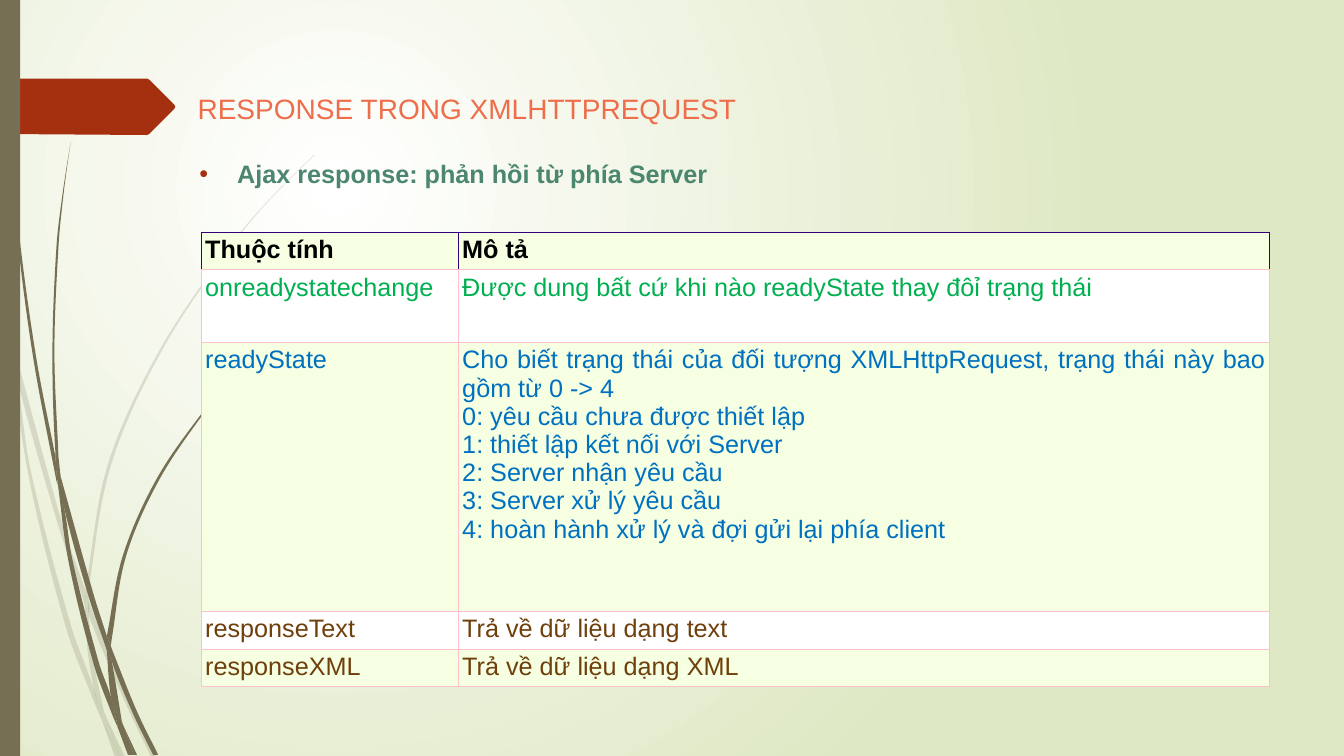
"""Builds the slide on the response properties of XMLHttpRequest."""
from math import dist
from lxml.etree import SubElement
from pptx import Presentation
from pptx.dml.color import RGBColor as Rgb
from pptx.enum.shapes import MSO_SHAPE as Kind
from pptx.enum.text import MSO_ANCHOR as Anchor, MSO_AUTO_SIZE as Fit, PP_ALIGN as Align
from pptx.oxml import parse_xml as read
from pptx.oxml.ns import nsdecls, qn
from pptx.util import Emu, Pt

WIDE, HIGH = 12192000, 6858000
ROWS = 75
FONT = "Arial"
HUE = {
    "stem": "766F54", "flag": "A53010", "title": "EE6E4B", "lead": "4B866E",
    "black": "000000", "green": "00B050", "blue": "0070C0", "brown": "6F3F0C",
    "pale": "F6FFE1", "white": "FFFFFF", "sand": "DFE8C4",
    "pink": "FFC0CB", "navy": "30007D",
}

FAINT = [
    "1.1 35 0.9 32.2 0 28.2 | 0 29.9 1 34.4 1.1 35",
    "1.4 34.5 1.7 37.6 5.8 52.2 8.4 59.9 | 8.5 58.6 6.2 52 1.4 34.5",
    "8.8 59.6 8.8 61 12.3 69.4 15 75.1 | 15.5 75.1 12.7 69.2 9.2 60.7 8.8 59.6",
    "10.5 71.1 11.9 75.1 | 12.4 75.1 10.5 71.1",
    "1.1 35 2.8 47 6.5 62.1 9.2 69.3 10.1 71.4 | 9.9 70.7 9.3 68.3 7 61.9 3.1 46.9 1.7 37.6 1.1 35",
    "8.4 59.9 8.7 64.6 9.3 68.3 9.6 69.2 10.5 71.1 | 10.3 70.6 9.1 64.6 8.8 61 8.4 59.9",
    "8.8 59.6 8.8 58.4 11 46.2 16 34.9 22.9 24.5 26.8 19.8 31.2 15.4"
    " | 31.2 15.3 26.8 19.7 22.8 24.4 15.8 34.8 10.7 46.1 8.5 58.4 8.5 58.6",
    "10.1 71.4 11.4 75.1 | 11.9 75.1 10.1 71.4",
    "8.5 58.6 8.4 59.9 8.8 60.8 | 8.8 61 8.8 59.6 8.5 58.6",
    "9.3 68.3 9.9 70.7 10.1 71.4 11.9 75.1 | 11.9 75.1 10.5 71.1 9.6 69.2 9.3 68.3",
]
SOLID = [
    "0.3 0 0.4 4.8 0.7 11 1.7 23.3 3.3 35.5 5.6 47.7 5.7 48.1"
    " | 5.5 45.3 3.6 35.5 1.9 23.2 0.8 10.9 0.5 4.8 0.4 0",
    "6 47.2 6.4 50.5 8.8 59.2 10.6 64.5 | 10.6 63.1 9.3 59 6 47.2",
    "11 64.1 11.1 65.6 13.2 70.8 15.2 74.9 | 15.7 74.9 13.6 70.6 11.3 64.9 11 64.1",
    "5.7 47.7 6.8 55.7 9.3 65.9 11.1 70.8 11.7 72.2 | 11.6 71.7 11 69.1 9.8 65.7 7.2 55.6 6.4 50.5 5.7 47.7",
    "7 14.1 6.2 19.3 5.6 24.5 5.2 34.9 5.5 44.9 6 47.2 | 5.8 45.3 5.4 34.9 5.8 24.5 6.3 19.3 7 14.1",
    "12.2 71.9 13.3 74.9 | 13.6 74.9 12.2 71.9",
    "5.5 44.9 5.5 45.3 5.7 47.7 6.4 50.5 | 6 47.2 5.5 44.9",
    "26.1 34.4 24.5 35.9 23.1 37.4 20.5 40.6 15.8 47.6 12.5 55.2 11.1 63.3 11 64.1"
    " | 10.6 63.1 12.2 55.1 15.6 47.4 20.4 40.5 23.1 37.3 24.5 35.8 26 34.4",
    "11.7 72.2 12.7 74.9 | 13.1 74.9 11.7 72.2",
    "10.6 64.5 11 69.1 11.6 70.6 12.2 71.9 | 12.1 71.6 11.1 65.6 10.9 65.1 10.6 64.5",
    "10.6 63.1 10.6 64.5 10.9 65.1 11.1 65.6 | 11 64.1 10.6 63.1",
    "11 69.1 11.6 71.7 11.7 72.2 13 74.9 | 13.3 74.9 12.2 71.9 11.6 70.6 11 69.1",
]
FLAG = [(0, 7.8), (14.6, 7.8), (14.8, 7.9), (17.3, 10.4), (17.4, 10.6),
        (17.3, 10.8), (14.8, 13.3), (14.6, 13.4), (0, 13.3)]
STATES = [
    "Cho biết trạng thái của đối tượng XMLHttpRequest, trạng thái này bao gồm từ 0 -> 4",
    "0: yêu cầu chưa được thiết lập",
    "1: thiết lập kết nối với Server",
    "2: Server nhận yêu cầu",
    "3: Server xử lý yêu cầu",
    "4: hoàn hành xử lý và đợi gửi lại phía client",
]
PROPS = [
    (2.9, "black", "Thuộc tính", ["Mô tả"]),
    (7.2, "green", "onreadystatechange", ["Được dung bất cứ khi nào readyState thay đôỉ trạng thái"]),
    (26.7, "blue", "readyState", STATES),
    (2.9, "brown", "responseText", ["Trả về dữ liệu dạng text"]),
    (2.9, "brown", "responseXML", ["Trả về dữ liệu dạng XML"]),
]


def cells(n):
    return Emu(round(n * HIGH / ROWS))


def lean(spot, back, fore, reach):
    scale = reach / (3 * (dist(back, fore) or 1))
    return tuple(p + (f - b) * scale for p, b, f in zip(spot, back, fore))


def bend(shape, turn):
    lines = list(shape.element.iter(qn("a:lnTo")))
    start = next(shape.element.iter(qn("a:moveTo")))
    dots = [(int(n[0].get("x")), int(n[0].get("y"))) for n in [start, *lines]]
    for edge, nodes in ((dots[:turn], lines[:turn - 1]), (dots[turn:], lines[turn:])):
        ends = [edge[0], *edge, edge[-1]]
        for a, b, c, d, node in zip(ends, ends[1:], ends[2:], ends[3:], nodes):
            reach = dist(b, c)
            arc = read(f'<a:cubicBezTo {nsdecls("a")}/>')
            for x, y in (lean(b, a, c, reach), lean(c, d, b, reach), c):
                SubElement(arc, qn("a:pt"), x=str(round(x)), y=str(round(y)))
            node.getparent().replace(node, arc)


class Deck:
    def __init__(self):
        self.file = Presentation()
        self.file.slide_width, self.file.slide_height = WIDE, HIGH
        self.page = self.file.slides.add_slide(self.file.slide_layouts[5])
        self.art = self.page.shapes

    def ground(self, near, far):
        stops = "".join(f'<a:gs pos="{at}"><a:srgbClr val="{HUE[hue]}"/></a:gs>'
                        for at, hue in ((0, near), (100000, far)))
        self.page.background.fill.gradient()
        old = next(self.page.element.iter(qn("a:gradFill")))
        old.getparent().replace(old, read(
            f'<a:gradFill {nsdecls("a")} rotWithShape="1"><a:gsLst>{stops}</a:gsLst>'
            '<a:path path="circle"><a:fillToRect l="50000" t="50000" r="100000" b="100000"/>'
            '</a:path></a:gradFill>'))

    def master(self, shape):
        tree = self.file.slide_master.shapes
        tree[0].element.addprevious(shape.element)

    def paint(self, shape, hue, alpha=100):
        shape.shadow.inherit = False
        shape.fill.solid()
        shape.fill.fore_color.rgb = Rgb.from_string(HUE[hue])
        shape.line.fill.background()
        if alpha < 100:
            tone = next(shape.element.spPr.iter(qn("a:srgbClr")))
            SubElement(tone, qn("a:alpha"), val=str(alpha * 1000))

    def bar(self, x, y, w, h, hue):
        shape = self.art.add_shape(Kind.RECTANGLE, *map(cells, (x, y, w, h)))
        self.paint(shape, hue)
        self.master(shape)

    def free(self, home, dots, hue, alpha=100):
        first, *rest = [(cells(x), cells(y)) for x, y in dots]
        pen = home.build_freeform(*first)
        pen.add_line_segments(rest, close=True)
        shape = pen.convert_to_shape()
        self.paint(shape, hue, alpha)
        return shape

    def grass(self, blades, hue, alpha):
        group = self.art.add_group_shape()
        for text in blades:
            sides = []
            for side in text.split("|"):
                nums = [float(n) for n in side.split()]
                sides.append(list(zip(nums[::2], nums[1::2])))
            bend(self.free(group.shapes, sum(sides, []), hue, alpha), len(sides[0]))
        self.master(group)

    def flag(self, dots, hue):
        self.master(self.free(self.art, dots, hue))

    def run(self, para, text, size, hue, bold=False):
        run = para.add_run()
        run.text = text
        font = run.font
        font.name, font.size, font.bold = FONT, Pt(size), bold
        font.color.rgb = Rgb.from_string(HUE[hue])

    def title(self, x, y, w, h, text):
        box = self.art.title
        box.left, box.top, box.width, box.height = map(cells, (x, y, w, h))
        frame = box.text_frame
        frame.auto_size, frame.vertical_anchor = Fit.SHAPE_TO_FIT_TEXT, Anchor.TOP
        para = frame.paragraphs[0]
        para.alignment = Align.LEFT
        self.run(para, text, 20, "title")

    def point(self, x, y, w, h, text):
        frame = self.art.add_textbox(*map(cells, (x, y, w, h))).text_frame
        frame.word_wrap = True
        para = frame.paragraphs[0]
        props = para._p.get_or_add_pPr()
        props.set("marL", str(cells(3.75)))
        props.set("indent", str(-cells(3.75)))
        tone = SubElement(props, qn("a:buClr"))
        SubElement(tone, qn("a:srgbClr"), val=HUE["flag"])
        SubElement(props, qn("a:buFont"), typeface=FONT)
        SubElement(props, qn("a:buChar"), char="•")
        self.run(para, text, 18, "lead", True)

    def cell(self, cell, lines, hue, back, head):
        cell.margin_left = cell.margin_right = cells(0.36)
        cell.margin_top = cell.margin_bottom = cells(0.36)
        frame = cell.text_frame
        for k, line in enumerate(lines):
            para = frame.add_paragraph() if k else frame.paragraphs[0]
            para.alignment = Align.LEFT if head else Align.JUSTIFY
            self.run(para, line, 18, hue, head)
        props = cell._tc.get_or_add_tcPr()
        for side in "LRTB":
            tone = HUE["navy" if head and side != "B" else "pink"]
            props.append(read(
                f'<a:ln{side} {nsdecls("a")} w="9525"><a:solidFill>'
                f'<a:srgbClr val="{tone}"/></a:solidFill></a:ln{side}>'))
        cell.fill.solid()
        cell.fill.fore_color.rgb = Rgb.from_string(HUE[back])

    def table(self, x, y, cols, rows):
        high = sum(row[0] for row in rows)
        grid = self.art.add_table(
            len(rows), len(cols), *map(cells, (x, y, sum(cols), high))).table
        grid.first_row = grid.horz_banding = False
        for col, wide in zip(grid.columns, cols):
            col.width = cells(wide)
        for k, (tall, hue, name, lines) in enumerate(rows):
            grid.rows[k].height = cells(tall)
            back = "white" if k % 2 else "pale"
            for j, text in enumerate(([name], lines)):
                self.cell(grid.cell(k, j), text, hue, back, k == 0)


def main():
    deck = Deck()
    deck.ground("white", "sand")
    deck.grass(FAINT, "stem", 20)
    deck.grass(SOLID, "stem", 100)
    deck.bar(0, 0, 2, ROWS, "stem")
    deck.flag(FLAG, "flag")
    deck.title(18.6, 8.6, 113.2, 4.4, "RESPONSE TRONG XMLHTTPREQUEST")
    deck.point(18.8, 15.2, 110.7, 4.5, "Ajax response: phản hồi từ phía Server")
    deck.table(20, 23.05, (25.5, 80.4), PROPS)
    deck.file.save("out.pptx")


if __name__ == "__main__":
    main()
